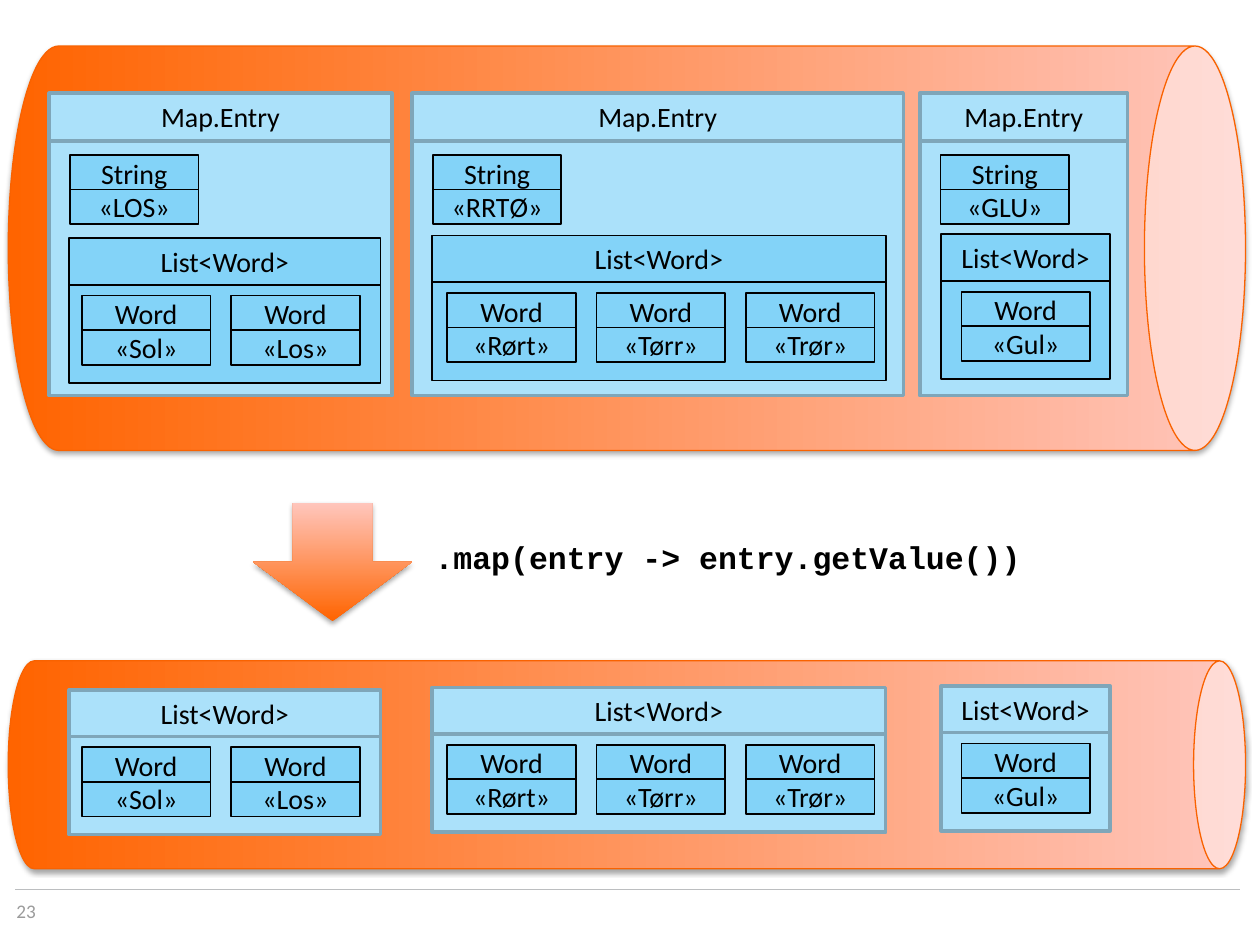
from lxml import etree
from pptx import Presentation
from pptx import util as u
from pptx.dml.color import RGBColor
from pptx.enum import shapes, text
from pptx.oxml.ns import qn

# Content: entry (left, width), list (left, top, width), first word's left
ENTRIES = [
    dict(key="«LOS»", words=["«Sol»", "«Los»"],
         entry=(0.39, 2.72), list=(0.55, 1.89, 2.47), word_x=0.65),
    dict(key="«RRTØ»", words=["«Rørt»", "«Tørr»", "«Trør»"],
         entry=(3.27, 3.9), list=(3.43, 1.87, 3.6), word_x=3.55),
    dict(key="«GLU»", words=["«Gul»"],
         entry=(7.3, 1.65), list=(7.47, 1.86, 1.34), word_x=7.63),
]
CODE = ".map(entry -> entry.getValue())"
PAGE = "23"

# Layout in inches
ENTRY_Y, ENTRY_H, ENTRY_HEAD = 0.74, 2.4, 0.38
LIST_H, LIST_HEAD = 1.15, 0.37
CELL_W, CELL_H, WORD_STEP, WORD_DROP = 1.02, 0.55, 1.185, 0.455
KEY_X, KEY_Y = 0.165, 1.23
RESULT_DROP = 3.585

OUTER = ("ABE1FA", "7FA6B9", 2)
INNER = ("83D3F8", "000000", 1)
DARK, LIGHT, EDGE = "FF6400", "FFC6BD", "F96200"

prs = Presentation()
prs.slide_width, prs.slide_height = u.Inches(10), u.Inches(7.5)
slide = prs.slides.add_slide(prs.slide_layouts[6])


def rgb(value):
    return RGBColor.from_string(value)


def write(tf, *lines, size=16, font="Calibri", color="000000", bold=False,
          align=text.PP_ALIGN.CENTER, anchor=text.MSO_ANCHOR.TOP, wrap=True):
    tf.word_wrap, tf.vertical_anchor = wrap, anchor
    for i, line in enumerate(lines):
        p = tf.add_paragraph() if i else tf.paragraphs[0]
        p.alignment = align
        r = p.add_run()
        r.text = line
        r.font.size, r.font.name, r.font.bold = u.Pt(size), font, bold
        r.font.color.rgb = rgb(color)


def shape(kind, x, y, w, h):
    sp = slide.shapes.add_shape(kind, *map(u.Inches, (x, y, w, h)))
    sp.shadow.inherit = False
    return sp


def rule(x1, x2, y, color, width):
    c = slide.shapes.add_connector(shapes.MSO_CONNECTOR.STRAIGHT,
                                   *map(u.Inches, (x1, y, x2, y)))
    c.line.color.rgb, c.line.width = rgb(color), u.Pt(width)
    etree.SubElement(c._element.spPr, qn("a:effectLst"))
    return c


def box(x, y, w, h, style):
    fill, color, width = style
    sp = shape(shapes.MSO_SHAPE.RECTANGLE, x, y, w, h)
    sp.fill.solid()
    sp.fill.fore_color.rgb = rgb(fill)
    sp.line.color.rgb, sp.line.width = rgb(color), u.Pt(width)
    return sp


def panel(x, y, w, h, head, title, style):
    write(box(x, y, w, h, style).text_frame, title)
    rule(x, x + w, y + head, *style[1:])


def cell(x, y, name, value):
    sp = box(x, y, CELL_W, CELL_H, INNER)
    write(sp.text_frame, name, value, anchor=text.MSO_ANCHOR.MIDDLE)
    c = rule(x, x + CELL_W, y + CELL_H / 2, *INNER[1:])
    c.begin_connect(sp, 1)
    c.end_connect(sp, 3)


def word_list(item, style, drop=0):
    x, y, w = item["list"]
    y += drop
    panel(x, y, w, LIST_H, LIST_HEAD, "List<Word>", style)
    for i, word in enumerate(item["words"]):
        cell(item["word_x"] + i * WORD_STEP, y + WORD_DROP, "Word", word)


def glow(kind, x, y, w, h, edge=None, rotation=0):
    sp = shape(kind, x, y, w, h)
    sp.rotation = rotation
    sp.fill.gradient()
    sp.fill.gradient_angle = 90
    for stop, color in zip(sp.fill.gradient_stops, (DARK, LIGHT)):
        stop.color.rgb = rgb(color)
    if edge:
        sp.line.color.rgb, sp.line.width = rgb(edge), u.Pt(0.75)
    else:
        sp.line.fill.background()
    effects = sp._element.spPr.find(qn("a:effectLst"))
    shadow = etree.SubElement(effects, qn("a:outerShdw"), blurRad=str(u.Pt(3.1)),
                              dist=str(u.Pt(1.8)), dir="5400000", rotWithShape="0")
    black = etree.SubElement(shadow, qn("a:srgbClr"), val="000000")
    etree.SubElement(black, qn("a:alpha"), val="35000")


def textbox(x, y, w, h):
    return slide.shapes.add_textbox(*map(u.Inches, (x, y, w, h))).text_frame


# Footer
rule(0.12, 9.84, 7.06, "BCBEC0", 0.75)
tf = textbox(0.13, 7.14, 0.79, 0.2)
tf.margin_left = tf.margin_right = tf.margin_top = tf.margin_bottom = 0
write(tf, PAGE, size=11, color="9B9B9B", align=text.PP_ALIGN.LEFT)

# Stream of map entries
glow(shapes.MSO_SHAPE.CAN, 3.37, -2.94, 3.21, 9.82, EDGE, 90)
for item in ENTRIES:
    x, w = item["entry"]
    panel(x, ENTRY_Y, w, ENTRY_H, ENTRY_HEAD, "Map.Entry", OUTER)
    cell(x + KEY_X, KEY_Y, "String", item["key"])
    word_list(item, INNER)

# Stream of word lists
glow(shapes.MSO_SHAPE.CAN, 4.15, 1.16, 1.65, 9.82, EDGE, 90)
for item in ENTRIES:
    word_list(item, OUTER, RESULT_DROP)

# Mapping step
glow(shapes.MSO_SHAPE.DOWN_ARROW, 2.01, 3.99, 1.26, 0.94)
tf = textbox(3.35, 4.22, 4.88, 0.4)
write(tf, CODE, size=18, font="Courier New", bold=True,
      align=text.PP_ALIGN.LEFT, wrap=False)
tf.auto_size = text.MSO_AUTO_SIZE.SHAPE_TO_FIT_TEXT

prs.save("out.pptx")
